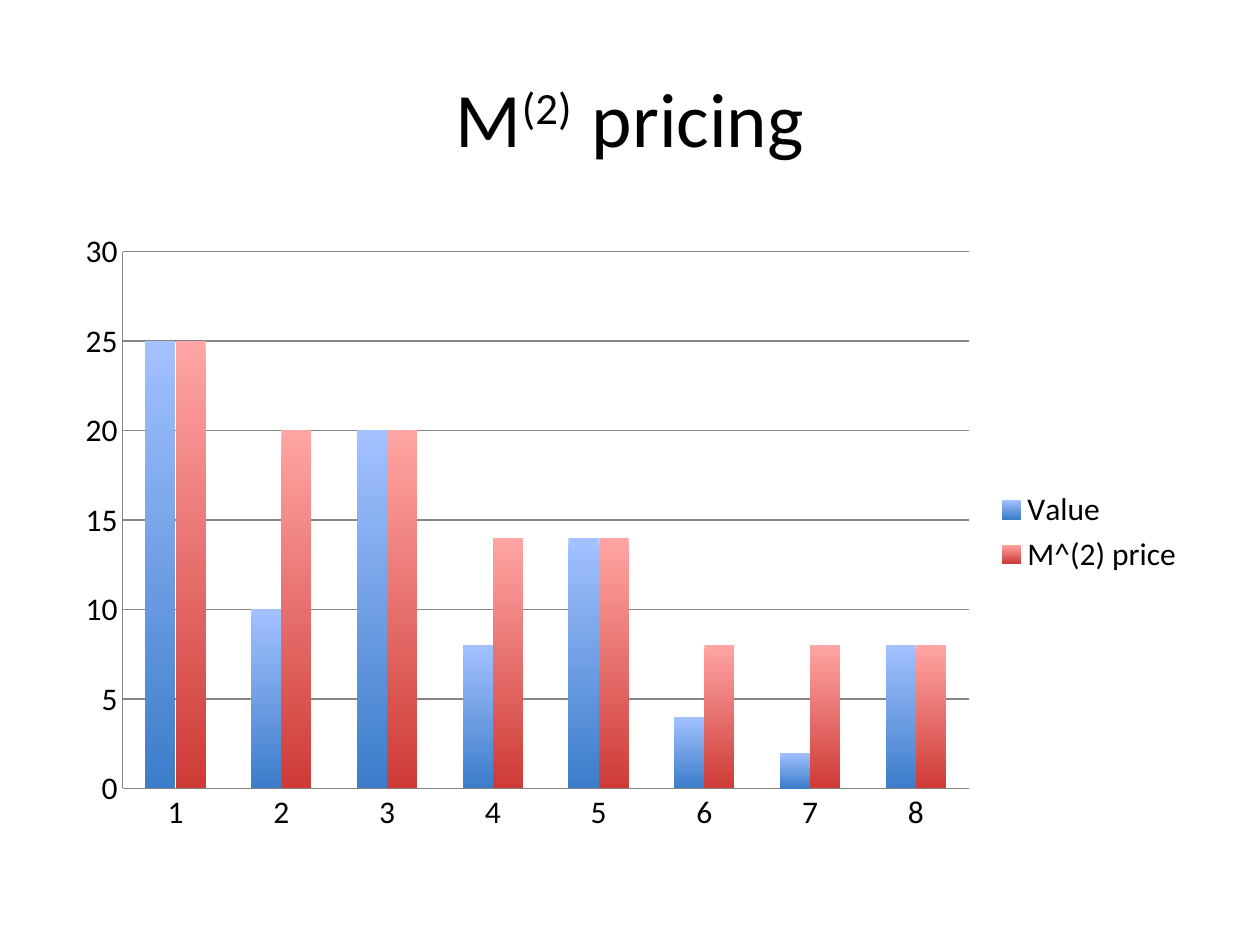
from pptx import Presentation
from pptx.chart.data import CategoryChartData
from pptx.dml.color import RGBColor
from pptx.enum.chart import XL_CHART_TYPE as ChartType, XL_LEGEND_POSITION as LegendPosition
from pptx.enum.chart import XL_TICK_MARK as TickMark
from pptx.enum.text import MSO_ANCHOR as Anchor, PP_ALIGN as Align
from pptx.util import Emu, Pt

PX = 914400 // 126
PAGE_SIZE = (1260, 945)
TITLE_AREA = (63, 38, 1134, 157)
CHART_AREA = (63, 220, 1134, 624)
FONT = "Calibri"
BLACK, AXIS_GRAY = "000000", "868686"

TITLE = [("M", False), ("(2)  ", True), ("pricing", False)]  # text, superscript
CATEGORIES = ["1", "2", "3", "4", "5", "6", "7", "8"]
SERIES = [  # name, values, top colour, bottom colour
    ("Value", (25, 10, 20, 8, 14, 4, 2, 8), "A3C1FF", "3C7DCA"),
    ("M^(2) price", (25, 20, 20, 14, 14, 8, 8, 8), "FFA5A3", "CE3B37"),
]


def px(*lengths):
    return [Emu(length * PX) for length in lengths]


def color(value):
    return RGBColor.from_string(value)


def style_font(font, size):
    font.name, font.size = FONT, Pt(size)
    font.color.rgb = color(BLACK)


def style_line(line):
    line.color.rgb = color(AXIS_GRAY)
    line.width = Pt(0.75)


def add_title(page):
    title = page.shapes.title
    title.left, title.top, title.width, title.height = px(*TITLE_AREA)
    title.text_frame.vertical_anchor = Anchor.MIDDLE
    para = title.text_frame.paragraphs[0]
    para.alignment = Align.CENTER
    for text, raised in TITLE:
        span = para.add_run()
        span.text = text
        if raised:
            span.font._element.set("baseline", "30000")
    style_font(para.font, 44)


def add_price_chart(page):
    data = CategoryChartData()
    data.categories = CATEGORIES
    for name, values, _, _ in SERIES:
        data.add_series(name, values)
    chart = page.shapes.add_chart(ChartType.COLUMN_CLUSTERED, *px(*CHART_AREA), data).chart
    chart.has_title = False
    style_font(chart.font, 18)
    chart.has_legend = True
    chart.legend.position = LegendPosition.RIGHT
    chart.legend.include_in_layout = False

    for axis in (chart.category_axis, chart.value_axis):
        axis.major_tick_mark = axis.minor_tick_mark = TickMark.NONE
        style_line(axis.format.line)
    values_axis = chart.value_axis
    values_axis.minimum_scale, values_axis.maximum_scale = 0, 30
    values_axis.major_unit = 5
    values_axis.has_major_gridlines = True
    style_line(values_axis.major_gridlines.format.line)

    plot = chart.plots[0]
    plot.gap_width, plot.overlap = 150, 0
    plot.vary_by_categories = False
    for series, (_, _, top, bottom) in zip(plot.series, SERIES):
        fill = series.format.fill
        fill.gradient()
        fill.gradient_angle = 270
        for stop, shade in zip(fill.gradient_stops, (top, bottom)):
            stop.color.rgb = color(shade)
        series.format.line.fill.background()


deck = Presentation()
deck.slide_width, deck.slide_height = px(*PAGE_SIZE)
page = deck.slides.add_slide(deck.slide_layouts.get_by_name("Title Only"))
add_title(page)
add_price_chart(page)
deck.save("out.pptx")
